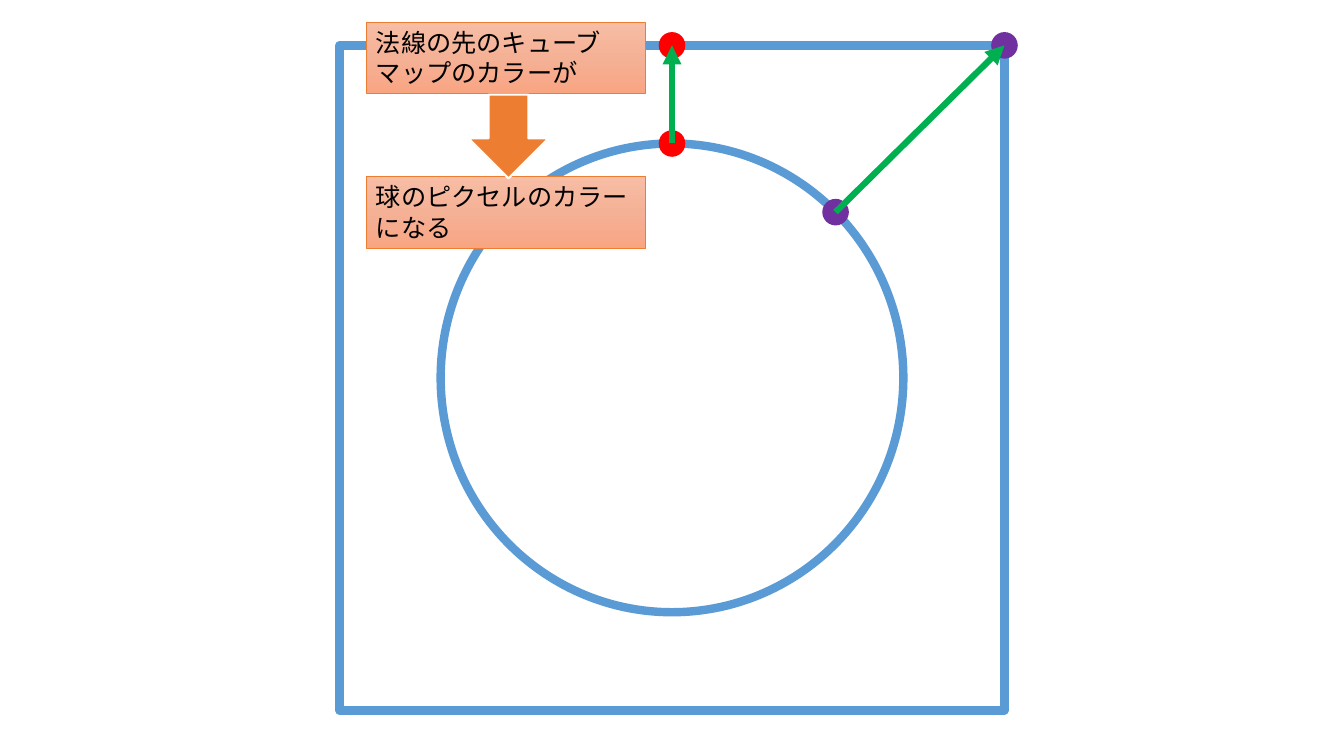
from dataclasses import dataclass
from math import cos, radians, sin

from lxml.etree import SubElement
from pptx import Presentation
from pptx.dml.color import RGBColor
from pptx.enum.shapes import MSO_CONNECTOR, MSO_SHAPE
from pptx.enum.text import MSO_ANCHOR, MSO_AUTO_SIZE, PP_ALIGN
from pptx.oxml.ns import qn
from pptx.util import Pt


@dataclass(frozen=True)
class Theme:
    """Colours, type and line widths of the slide."""
    outline: str = "5B9BD5"
    top: str = "FF0000"
    corner: str = "7030A0"
    normal: str = "00B050"
    accent: str = "ED7D31"
    white: str = "FFFFFF"
    text: str = "000000"
    label: tuple = ((0, "F7BDA5"), (50, "F5B196"), (100, "F8A582"))
    font: str = "Noto Sans CJK JP"
    size: float = 18
    outline_width: float = 6
    normal_width: float = 4.5
    dot: float = 18


THEME = Theme()


def rgb(code):
    """Turn a hex code into a colour."""
    return RGBColor.from_string(code)


def add_box(slide, kind, box, line, width, fill=None):
    """Add a preset shape without shadow, filled or hollow."""
    sp = slide.shapes.add_shape(kind, *map(Pt, box))
    sp.shadow.inherit = False
    sp.line.color.rgb, sp.line.width = rgb(line), Pt(width)
    if fill:
        sp.fill.solid()
        sp.fill.fore_color.rgb = rgb(fill)
    else:
        sp.fill.background()
    return sp


def add_normal(slide, start, end, color):
    """Draw a dot at each end and the normal arrow between them."""
    d = THEME.dot
    for x, y in (start, end):
        add_box(slide, MSO_SHAPE.OVAL, (x - d / 2, y - d / 2, d, d), color, 1, color)
    cxn = slide.shapes.add_connector(MSO_CONNECTOR.STRAIGHT, *map(Pt, start + end))
    cxn.line.color.rgb, cxn.line.width = rgb(THEME.normal), Pt(THEME.normal_width)
    SubElement(cxn.line._get_or_add_ln(), qn("a:tailEnd"), type="triangle")
    SubElement(cxn._element.spPr, qn("a:effectLst"))


def fill_gradient(sp, stops):
    """Fill a shape from top to bottom with the given stops."""
    sp.fill.gradient()
    sp.fill.gradient_angle = 270
    gs_list = sp._element.spPr.find(qn("a:gradFill")).find(qn("a:gsLst"))
    for gs in list(gs_list):
        gs_list.remove(gs)
    for percent, color in stops:
        gs = SubElement(gs_list, qn("a:gs"), pos=str(percent * 1000))
        SubElement(gs, qn("a:srgbClr"), val=color)


def add_label(slide, box, text):
    """Add an orange gradient label with left-aligned text."""
    sp = add_box(slide, MSO_SHAPE.RECTANGLE, box, THEME.accent, 0.5)
    fill_gradient(sp, THEME.label)
    tf = sp.text_frame
    frame = {"word_wrap": True, "vertical_anchor": MSO_ANCHOR.TOP,
             "auto_size": MSO_AUTO_SIZE.SHAPE_TO_FIT_TEXT}
    for name, value in frame.items():
        setattr(tf, name, value)
    p = tf.paragraphs[0]
    p.alignment = PP_ALIGN.LEFT
    r = p.add_run()
    r.text = text
    for name, value in {"size": Pt(THEME.size), "name": THEME.font}.items():
        setattr(r.font, name, value)
    r.font.color.rgb = rgb(THEME.text)
    SubElement(r._r.get_or_add_rPr(), qn("a:ea"), typeface=THEME.font)


def add_cube_map(slide, box):
    """Draw the cube map, the sphere inside it and two normals."""
    x, y, w, h = box
    rx, ry = 165.25, 167.4
    cx, cy = x + w / 2, y + h / 2
    sphere = (cx - rx, cy - ry, 2 * rx, 2 * ry)
    for kind, area in ((MSO_SHAPE.RECTANGLE, box), (MSO_SHAPE.OVAL, sphere)):
        add_box(slide, kind, area, THEME.outline, THEME.outline_width)
    normals = ((90, (cx, y), THEME.top), (45, (x + w, y), THEME.corner))
    for degrees, end, color in normals:
        a = radians(degrees)
        add_normal(slide, (cx + rx * cos(a), cy - ry * sin(a)), end, color)


def add_explanation(slide, box):
    """Stack two labels in the box, joined by a down arrow."""
    x, y, w, h = box
    label_h, arrow_w, arrow_h = 51, 57, 59.8
    texts = ("法線の先のキューブマップのカラーが", "球のピクセルのカラーになる")
    for top, text in zip((y, y + h - label_h), texts):
        add_label(slide, (x, top, w, label_h), text)
    arrow = (x + w / 2 - arrow_w / 2 + 2, y + h / 2 - arrow_h / 2 + 1, arrow_w, arrow_h)
    add_box(slide, MSO_SHAPE.DOWN_ARROW, arrow, THEME.white, 1.5, THEME.accent)


def main():
    """Build and save the slide."""
    prs = Presentation()
    prs.slide_width, prs.slide_height = Pt(960), Pt(540)
    slide = prs.slides.add_slide(prs.slide_layouts[6])
    add_cube_map(slide, (242.5, 32.4, 475, 475))
    add_explanation(slide, (261.4, 15.8, 199.6, 161.4))
    prs.save("out.pptx")


main()
